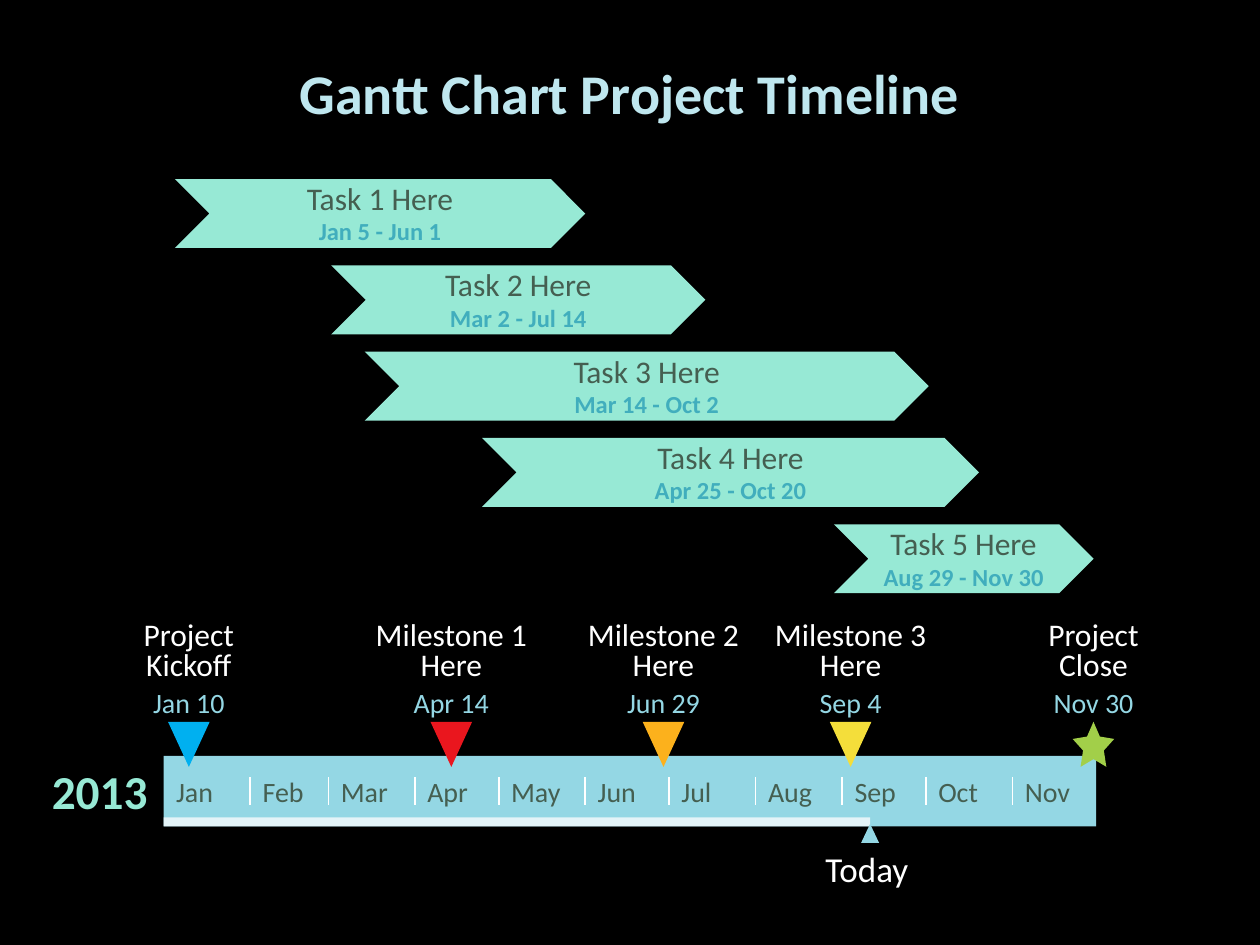
"""Build a one-slide Gantt chart with tasks, milestones and a month bar."""
from lxml.etree import SubElement
from pptx import Presentation
from pptx.dml.color import RGBColor
from pptx.enum.shapes import MSO_CONNECTOR, MSO_SHAPE as Preset
from pptx.enum.text import MSO_ANCHOR as Anchor, PP_ALIGN as Align
from pptx.oxml.ns import qn
from pptx.util import Cm, Pt

COLORS = {
    "background": "000000", "title": "BFE7EF", "task": "97E9D5", "bar": "94D7E4",
    "dark": "455F51", "dates": "41AEBD", "white": "FFFFFF", "blue": "00B0F0",
    "red": "EA161E", "orange": "FCB11C", "yellow": "F4DE3A", "green": "A2CF49",
}
FONT = "Calibri"
MONTHS = {"Jan": 31, "Feb": 28, "Mar": 31, "Apr": 30, "May": 31, "Jun": 30,
          "Jul": 31, "Aug": 31, "Sep": 30, "Oct": 31, "Nov": 30}
TASKS = [
    ("Task 1 Here", "Jan 5", "Jun 1"),
    ("Task 2 Here", "Mar 2", "Jul 14"),
    ("Task 3 Here", "Mar 14", "Oct 2"),
    ("Task 4 Here", "Apr 25", "Oct 20"),
    ("Task 5 Here", "Aug 29", "Nov 30"),
]
MILESTONES = [
    ("Project Kickoff", "Jan 10", "blue", 3.18),
    ("Milestone 1 Here", "Apr 14", "red", 4.24),
    ("Milestone 2 Here", "Jun 29", "orange", 4.24),
    ("Milestone 3 Here", "Sep 4", "yellow", 4.24),
    ("Project Close", "Nov 30", "green", 3.18),
]
TODAY = "Sep 11"
BAR_LEFT, BAR_TOP, BAR_WIDTH, BAR_HEIGHT = 3.3, 15.24, 18.8, 1.42
TASK_TOP, TASK_STEP, TASK_HEIGHT, TASK_NAME_HEIGHT = 3.61, 1.74, 1.39, 0.76
MARKER_WIDTH, MARKER_HEIGHT = 0.84, 0.91
DATE_WIDTH = 2.2


def date_position(date):
    month, day = date.split()
    names = list(MONTHS)
    days = sum(MONTHS[name] for name in names[:names.index(month)]) + int(day) - 1
    return BAR_LEFT + BAR_WIDTH * days / sum(MONTHS.values())


def add_block(slide, preset, left, top, width, height, color):
    shape = slide.shapes.add_shape(preset, Cm(left), Cm(top), Cm(width), Cm(height))
    shape.shadow.inherit = False
    shape.fill.solid()
    shape.fill.fore_color.rgb = RGBColor.from_string(COLORS[color])
    shape.line.fill.background()
    return shape


def add_text(slide, text, left, top, width, height, size, color, bold=False,
             align=Align.CENTER, anchor=Anchor.MIDDLE, margins=(0, 0),
             wrap=False, spacing=None):
    box = slide.shapes.add_textbox(Cm(left), Cm(top), Cm(width), Cm(height))
    frame = box.text_frame
    frame.text = text
    frame.word_wrap = wrap
    frame.vertical_anchor = anchor
    frame.margin_left = frame.margin_right = Cm(margins[0])
    frame.margin_top = frame.margin_bottom = Cm(margins[1])
    paragraph = frame.paragraphs[0]
    paragraph.alignment = align
    paragraph.line_spacing = spacing
    font = paragraph.runs[0].font
    font.name, font.size, font.bold = FONT, Pt(size), bold
    font.color.rgb = RGBColor.from_string(COLORS[color])


def add_divider(slide, x):
    line = slide.shapes.add_connector(
        MSO_CONNECTOR.STRAIGHT, Cm(x), Cm(BAR_TOP + 0.43), Cm(x), Cm(BAR_TOP + 0.99))
    line.line.color.rgb = RGBColor.from_string(COLORS["white"])
    line.line.width = Pt(1)
    SubElement(line._element.spPr, qn("a:effectLst"))


def add_tasks(slide):
    for row, (name, start, end) in enumerate(TASKS):
        left, top = date_position(start), TASK_TOP + row * TASK_STEP
        width = date_position(end) - left
        add_block(slide, Preset.CHEVRON, left, top, width, TASK_HEIGHT, "task")
        add_text(slide, name, left, top, width, TASK_NAME_HEIGHT, 18, "dark")
        add_text(slide, f"{start} - {end}", left, top + TASK_NAME_HEIGHT, width, 0.58,
                 14, "dates", bold=True)


def add_month_bar(slide):
    add_block(slide, Preset.RECTANGLE, BAR_LEFT, BAR_TOP, BAR_WIDTH, BAR_HEIGHT, "bar")
    add_text(slide, "2013", 0.69, 15.37, 2.64, 1.14, 27, "task", bold=True)
    for index, month in enumerate(MONTHS):
        left = date_position(f"{month} 1")
        if index:
            add_divider(slide, left)
        add_text(slide, month, left, BAR_TOP, 1.7, BAR_HEIGHT, 16, "dark",
                 align=Align.LEFT, margins=(0.25, 0.13), wrap=True)


def add_today(slide):
    x = date_position(TODAY)
    progress = add_block(slide, Preset.RECTANGLE, BAR_LEFT, 16.48, x - BAR_LEFT, 0.18,
                         "white")
    color = progress._element.spPr.find(qn("a:solidFill"))[0]
    SubElement(color, qn("a:alpha"), val="75000")
    add_block(slide, Preset.ISOSCELES_TRIANGLE, x - 0.18, 16.61, 0.36, 0.38, "bar")
    add_text(slide, "Today", x - 0.9, 17.09, 1.8, 0.86, 20, "white",
             align=Align.LEFT, anchor=Anchor.TOP)


def add_milestones(slide):
    for name, date, color, width in MILESTONES:
        x = date_position(date)
        is_close = name == "Project Close"
        preset = Preset.STAR_5_POINT if is_close else Preset.ISOSCELES_TRIANGLE
        marker = add_block(slide, preset, x - MARKER_WIDTH / 2, 14.55,
                           MARKER_WIDTH, MARKER_HEIGHT, color)
        if is_close:
            marker.adjustments[0] = 0.25
        else:
            marker.rotation = 180
        add_text(slide, name, x - width / 2, 12.54, width, 1.22, 18, "white",
                 anchor=Anchor.BOTTOM, margins=(0.25, 0), wrap=True, spacing=0.8)
        add_text(slide, date, x - DATE_WIDTH / 2, 13.82, DATE_WIDTH, 0.69, 16, "bar",
                 anchor=Anchor.TOP)


def main():
    presentation = Presentation()
    presentation.slide_width, presentation.slide_height = Cm(25.4), Cm(19.05)
    slide = presentation.slides.add_slide(presentation.slide_layouts[6])
    slide.background.fill.solid()
    slide.background.fill.fore_color.rgb = RGBColor.from_string(COLORS["background"])
    add_text(slide, "Gantt Chart Project Timeline", 2.74, 1.4, 19.91, 1.12, 32, "title",
             bold=True, anchor=Anchor.BOTTOM, margins=(0.18, 0), wrap=True, spacing=0.8)
    add_month_bar(slide)
    add_today(slide)
    add_milestones(slide)
    add_tasks(slide)
    presentation.save("out.pptx")


if __name__ == "__main__":
    main()
